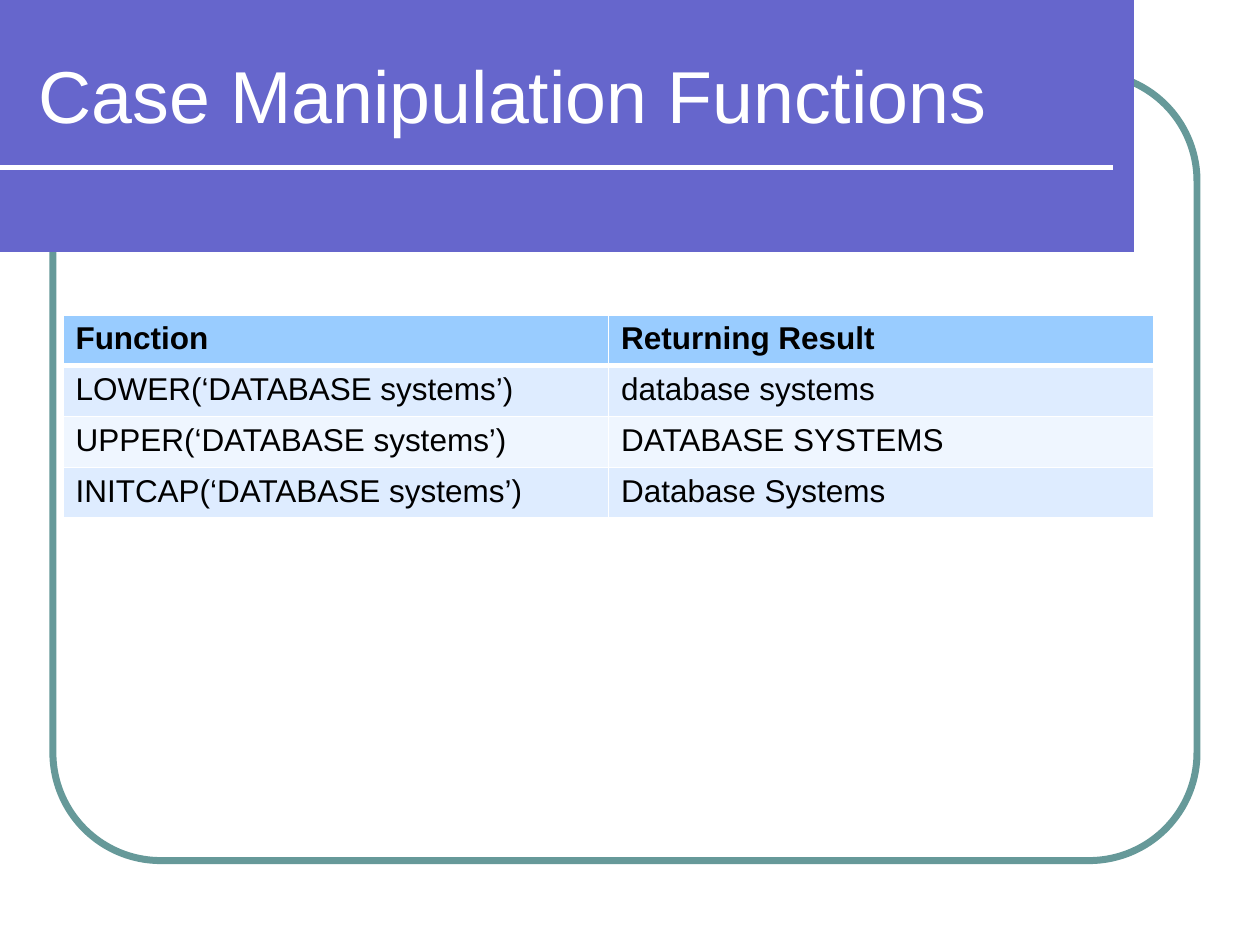
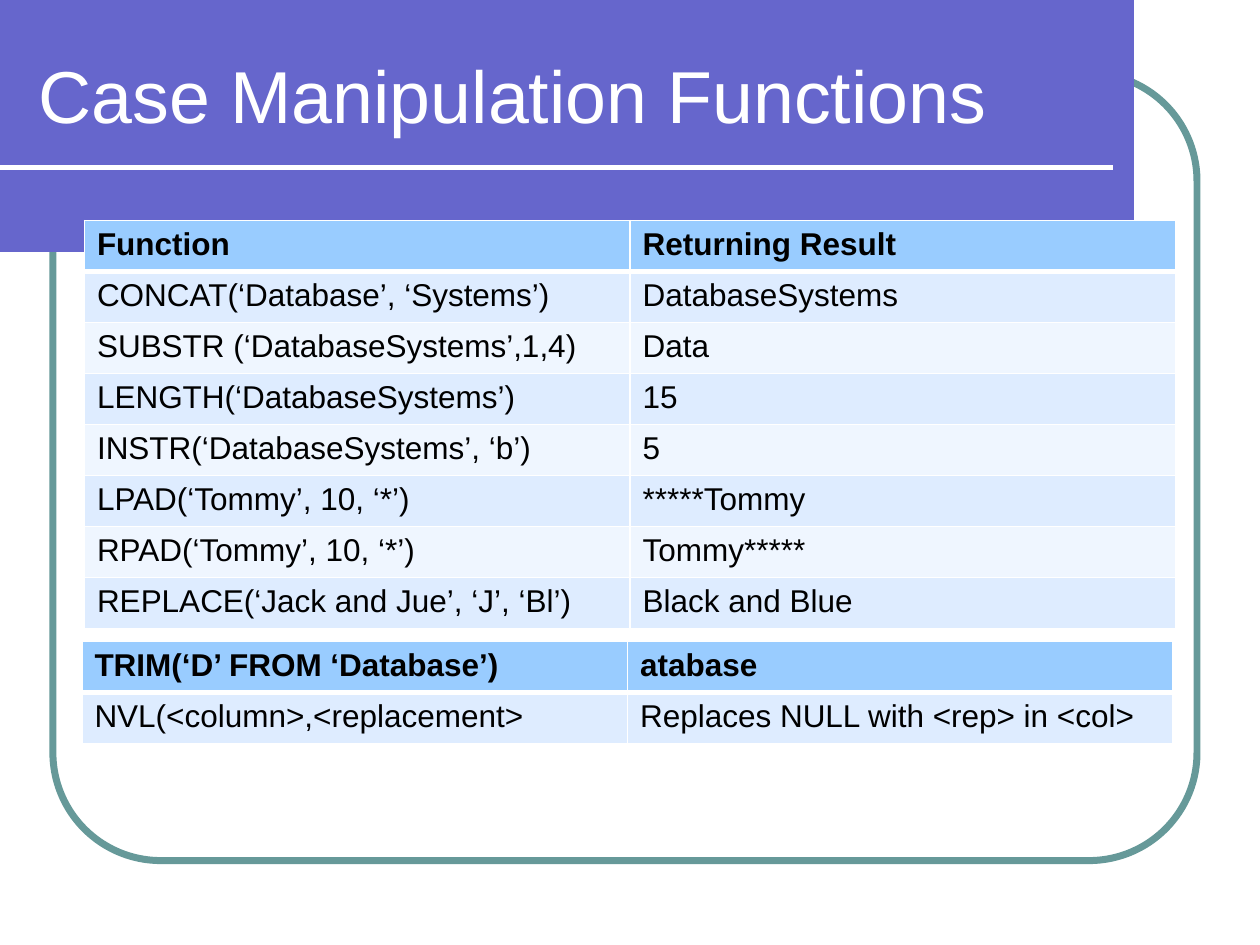
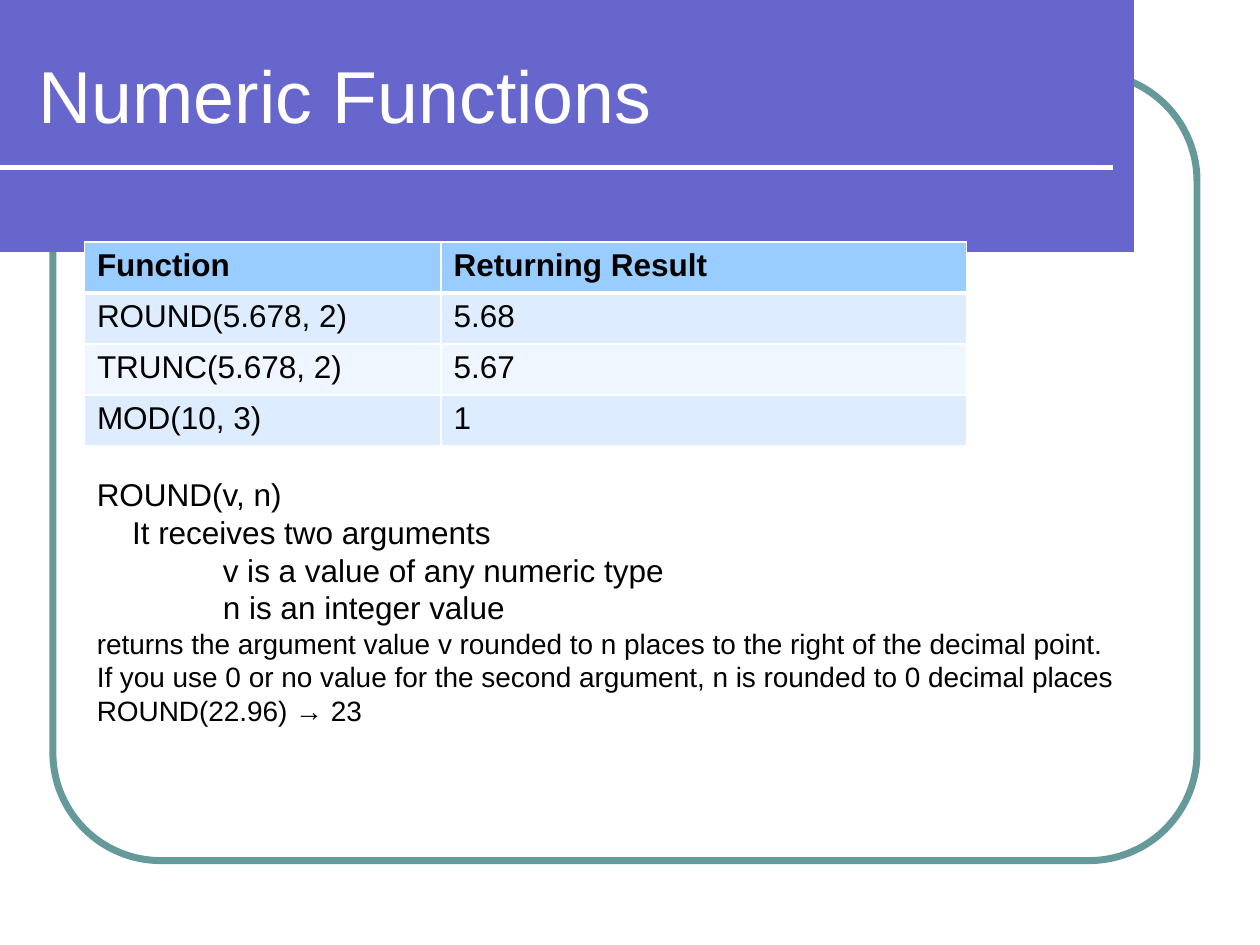
import math

from lxml import etree
from pptx import Presentation
from pptx.dml.color import RGBColor
from pptx.enum import shapes, text
from pptx.oxml import ns
from pptx.util import Inches, Pt

FONT = "Arial"
WHITE = RGBColor(0xFF, 0xFF, 0xFF)
BLACK = RGBColor(0x00, 0x00, 0x00)
TEAL = RGBColor(0x66, 0x99, 0x99)
VIOLET = RGBColor(0x66, 0x66, 0xCC)
HEADER_BLUE = RGBColor(0x99, 0xCC, 0xFF)
ROW_BLUES = (RGBColor(0xDE, 0xEC, 0xFF), RGBColor(0xEF, 0xF6, 0xFF))

ROW_HEIGHT = 0.405
HEADINGS = ("Function", "Returning Result")


def format_paragraph(paragraph, size, color, bold=False):
    for run in paragraph.runs:
        run.font.name = FONT
        run.font.size = Pt(size)
        run.font.color.rgb = color
        run.font.bold = bold


# Shared frame, title band and title
def add_frame(slide, left, top, width, height):
    frame = slide.shapes.add_shape(
        shapes.MSO_SHAPE.ROUNDED_RECTANGLE,
        Inches(left), Inches(top), Inches(width), Inches(height))
    frame.adjustments[0] = 0.137
    frame.shadow.inherit = False
    frame.fill.background()
    frame.line.color.rgb = TEAL
    frame.line.width = Pt(4)


def add_title_band(slide, title, left, top, width, height):
    # Band with a half-round right end
    radius = height / 2
    center_x, center_y = left + width - radius, top + radius
    steps = 60
    arc = []
    for step in range(steps + 1):
        angle = math.pi * (step / steps - 0.5)
        arc.append((center_x + radius * math.cos(angle),
                    center_y + radius * math.sin(angle)))
    builder = slide.shapes.build_freeform(left, top, scale=Inches(1))
    builder.add_line_segments(arc + [(left, top + height)], close=True)
    band = builder.convert_to_shape()
    band.shadow.inherit = False
    band.fill.solid()
    band.fill.fore_color.rgb = VIOLET
    band.line.fill.background()

    # Rule under the title
    rule_y = Inches(top + 1.16)
    rule = slide.shapes.add_connector(
        shapes.MSO_CONNECTOR.STRAIGHT,
        Inches(left), rule_y, Inches(left + width - 0.5), rule_y)
    rule.line.color.rgb = WHITE
    rule.line.width = Pt(3)
    etree.SubElement(rule.element.spPr, ns.qn("a:effectLst"))

    # Title
    title_box = slide.shapes.add_textbox(
        Inches(left + 0.21), Inches(top + 0.08), Inches(width - 0.56), Inches(1))
    frame = title_box.text_frame
    frame.word_wrap = True
    frame.vertical_anchor = text.MSO_ANCHOR.MIDDLE
    frame.text = title
    format_paragraph(frame.paragraphs[0], 42, WHITE)


def add_titled_slide(presentation, title):
    slide = presentation.slides.add_slide(presentation.slide_layouts[6])
    add_frame(slide, 0.42, 0.58, 9.08, 6.25)
    add_title_band(slide, title, 0, 0.17, 9.33, 1.33)
    return slide


# Tables
def set_borders(cell, top, bottom):
    properties = cell._tc.get_or_add_tcPr()
    for side, width in (("L", 1), ("R", 1), ("T", top), ("B", bottom)):
        line = etree.SubElement(properties, ns.qn(f"a:ln{side}"), w=str(Pt(width)))
        fill = etree.SubElement(line, ns.qn("a:solidFill"))
        etree.SubElement(fill, ns.qn("a:srgbClr"), val=str(WHITE))


def add_function_table(slide, rows, left, top, column_widths, row_heights=None):
    row_heights = row_heights or [ROW_HEIGHT] * len(rows)
    table = slide.shapes.add_table(
        len(rows), len(column_widths), Inches(left), Inches(top),
        Inches(sum(column_widths)), Inches(sum(row_heights))).table
    for column, width in zip(table.columns, column_widths):
        column.width = Inches(width)
    for row_index, values in enumerate(rows):
        table.rows[row_index].height = Inches(row_heights[row_index])
        is_header = row_index == 0
        color = HEADER_BLUE if is_header else ROW_BLUES[(row_index - 1) % 2]
        for column_index, value in enumerate(values):
            cell = table.cell(row_index, column_index)
            set_borders(cell, top=3 if row_index == 1 else 1,
                        bottom=3 if is_header else 1)
            cell.fill.solid()
            cell.fill.fore_color.rgb = color
            cell.text_frame.text = value
            format_paragraph(cell.text_frame.paragraphs[0], 18, BLACK, is_header)


# Explanation with indented lines: (text, size, indent)
def add_explanation(slide, lines, left, top, width, height):
    box = slide.shapes.add_textbox(
        Inches(left), Inches(top), Inches(width), Inches(height))
    frame = box.text_frame
    frame.word_wrap = True
    for index, (line, size, indent) in enumerate(lines):
        paragraph = frame.paragraphs[0] if index == 0 else frame.add_paragraph()
        paragraph.text = line
        paragraph._p.get_or_add_pPr().set("marL", str(Inches(indent)))
        format_paragraph(paragraph, size, BLACK)


def add_case_slide(presentation):
    slide = add_titled_slide(presentation, "Case Manipulation Functions")
    add_function_table(slide, [
        HEADINGS,
        ("LOWER(‘DATABASE systems’)", "database systems"),
        ("UPPER(‘DATABASE systems’)", "DATABASE SYSTEMS"),
        ("INITCAP(‘DATABASE systems’)", "Database Systems"),
    ], 0.5, 2.5, (4.33, 4.33), (0.37, ROW_HEIGHT, ROW_HEIGHT, 0.37))


def add_character_slide(presentation):
    slide = add_titled_slide(presentation, "Case Manipulation Functions")
    add_function_table(slide, [
        HEADINGS,
        ("CONCAT(‘Database’, ‘Systems’)", "DatabaseSystems"),
        ("SUBSTR (‘DatabaseSystems’,1,4)", "Data"),
        ("LENGTH(‘DatabaseSystems’)", "15"),
        ("INSTR(‘DatabaseSystems’, ‘b’)", "5"),
        ("LPAD(‘Tommy’, 10, ‘*’)", "*****Tommy"),
        ("RPAD(‘Tommy’, 10, ‘*’)", "Tommy*****"),
        ("REPLACE(‘Jack and Jue’, ‘J’, ‘Bl’)", "Black and Blue"),
    ], 0.67, 1.75, (4.33, 4.33))
    add_function_table(slide, [
        ("TRIM(‘D’ FROM ‘Database’)", "atabase"),
        ("NVL(<column>,<replacement>", "Replaces NULL with <rep> in <col>"),
    ], 0.65, 5.09, (4.33, 4.33))


def add_numeric_slide(presentation):
    slide = add_titled_slide(presentation, "Numeric Functions")
    add_function_table(slide, [
        HEADINGS,
        ("ROUND(5.678, 2)", "5.68"),
        ("TRUNC(5.678, 2)", "5.67"),
        ("MOD(10, 3)", "1"),
    ], 0.67, 1.92, (2.83, 4.17))
    add_explanation(slide, [
        ("ROUND(v, n)", 18, 0),
        ("It receives two arguments", 18, 0.28),
        ("v is a value of any numeric type", 18, 1),
        ("n is an integer value", 18, 1),
        ("returns the argument value v rounded to n places to the right "
         "of the decimal point.", 16, 0),
        ("If you use 0 or no value for the second argument, n is rounded "
         "to 0 decimal places", 16, 0),
        ("ROUND(22.96) → 23", 16, 0),
    ], 0.67, 3.72, 8.67, 2.12)


def main():
    presentation = Presentation()
    presentation.slide_width = Inches(10)
    presentation.slide_height = Inches(7.5)
    add_case_slide(presentation)
    add_character_slide(presentation)
    add_numeric_slide(presentation)
    presentation.save("out.pptx")


if __name__ == "__main__":
    main()
